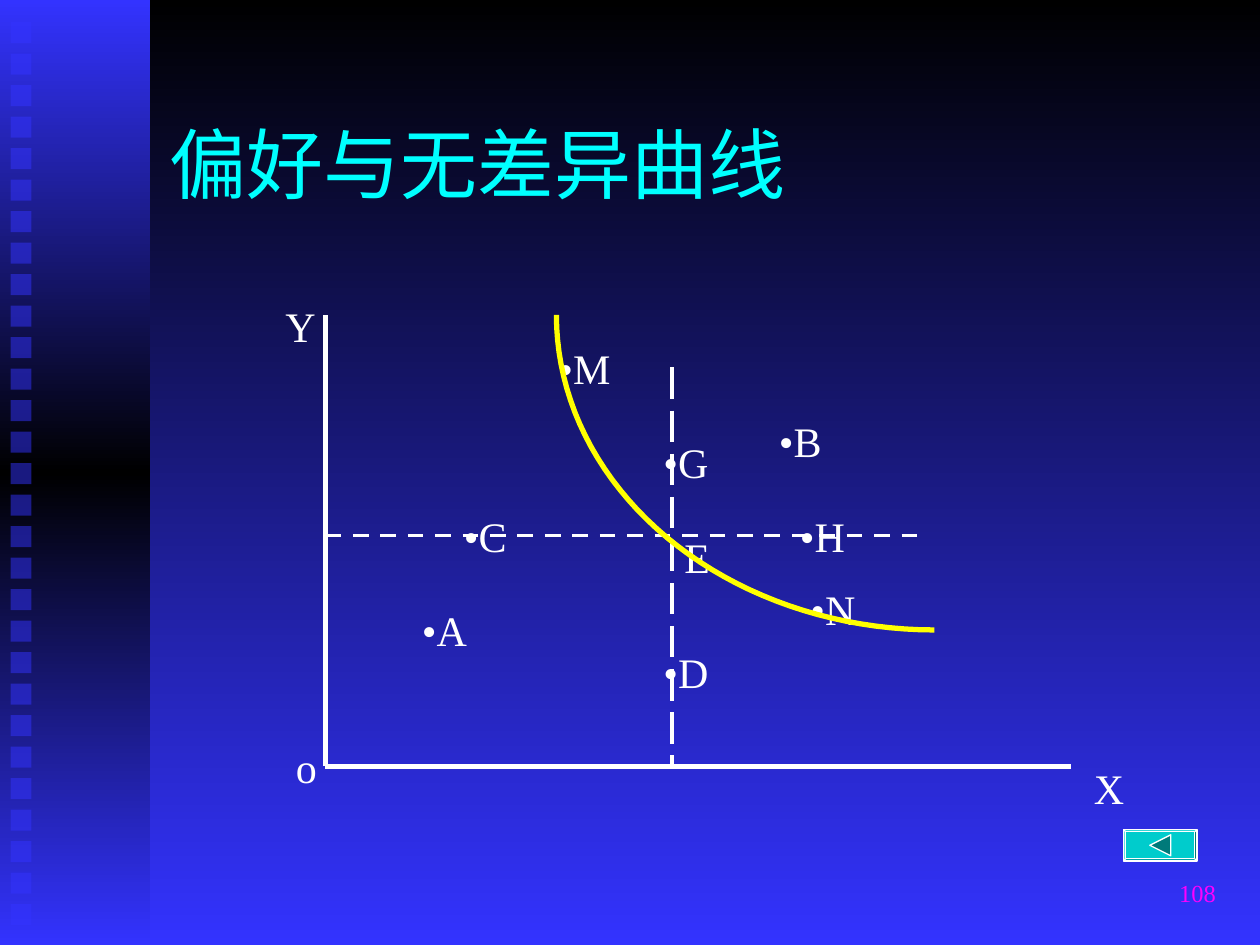
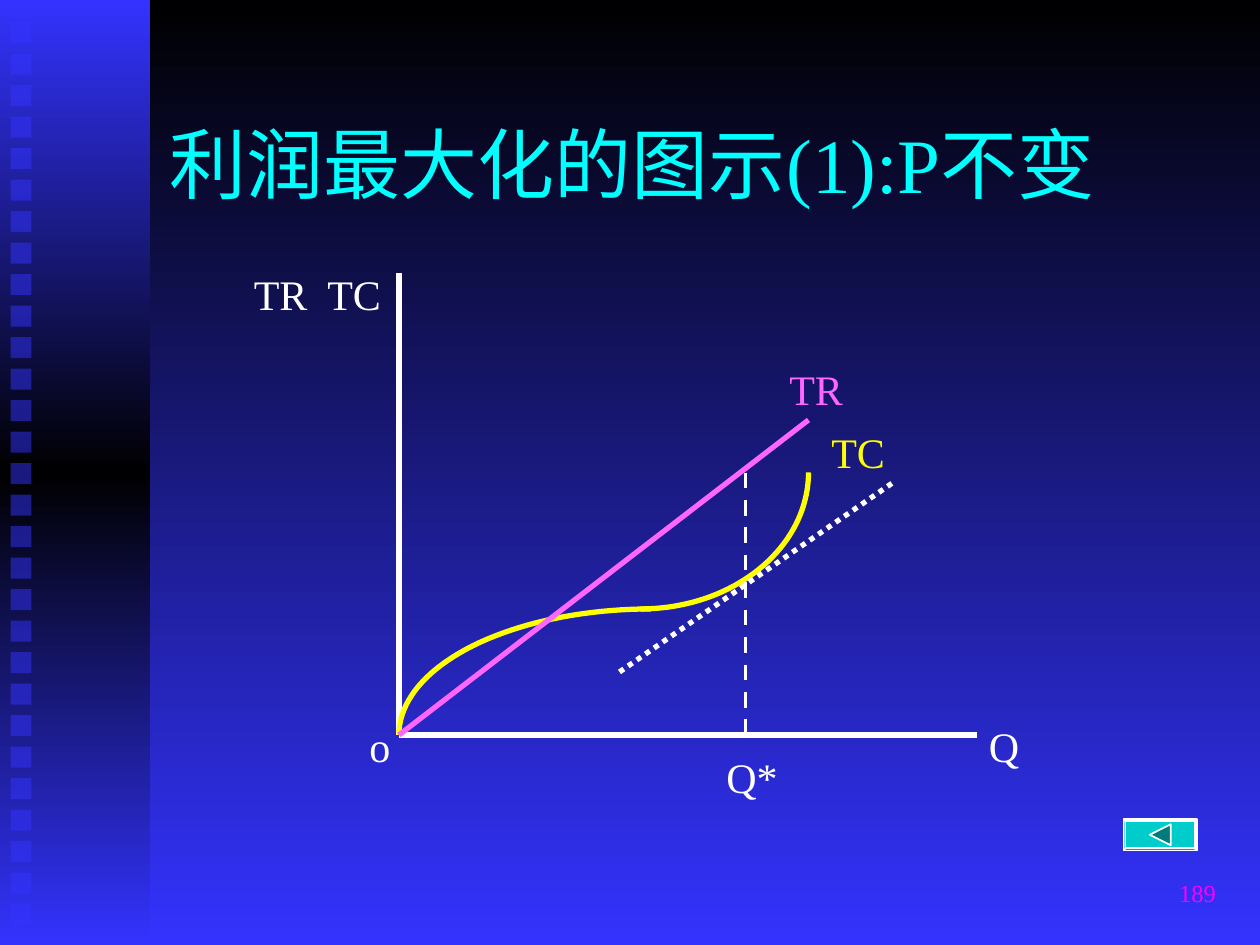
import copy
import math

from pptx import Presentation, util as u
from pptx.dml.color import RGBColor
from pptx.enum import dml, shapes, text
from pptx.oxml import parse_xml
from pptx.oxml.ns import nsdecls, qn

# Shared style: a grid of 120 columns by 90 rows covers the slide
COLUMNS, ROWS = 120, 90
FONT = "Times New Roman"
BLACK, BLUE, WHITE = "000000", "3333FF", "FFFFFF"
CYAN, TEAL, DARK_TEAL = "00FFFF", "00CCCC", "007A7A"
YELLOW, PINK, MAGENTA = "FFFF00", "FF66FF", "FF00FF"
DASH = dml.MSO_LINE.DASH
LONG_DASH = dml.MSO_LINE.LONG_DASH
DOTS = dml.MSO_LINE.ROUND_DOT


def rgb(hex_color):
    return RGBColor.from_string(hex_color)


def write(box, words, size=24, color=WHITE, align=text.PP_ALIGN.LEFT,
          anchor=text.MSO_ANCHOR.TOP, grow=True, tab=None):
    """Fill a text box with one formatted paragraph; tab is a stop in EMU."""
    frame = box.text_frame
    frame.word_wrap = True
    frame.vertical_anchor = anchor
    frame.auto_size = (text.MSO_AUTO_SIZE.SHAPE_TO_FIT_TEXT if grow
                       else text.MSO_AUTO_SIZE.NONE)
    paragraph = frame.paragraphs[0]
    paragraph.alignment = align
    if tab:
        paragraph._p.get_or_add_pPr().append(parse_xml(
            f'<a:tabLst {nsdecls("a")}><a:tab pos="{tab}" algn="l"/></a:tabLst>'))
    run = paragraph.add_run()
    run.text = words
    run.font.name = FONT
    run.font.size = u.Pt(size)
    run.font.color.rgb = rgb(color)


def shade(fill, owner, colors):
    """Vertical gradient with evenly spaced stops."""
    fill.gradient()
    fill.gradient_angle = 270
    stop_list = next(owner.iter(qn("a:gsLst")))
    while len(stop_list) < len(colors):
        stop_list.append(copy.deepcopy(stop_list[-1]))
    for i, (stop, color) in enumerate(zip(fill.gradient_stops, colors)):
        stop.color.rgb = rgb(color)
        stop.position = i / (len(colors) - 1)


class Deck:
    def __init__(self):
        self.prs = Presentation()
        self.prs.slide_width, self.prs.slide_height = u.Inches(10), u.Inches(7.5)
        self.slide = None

    def x(self, column):
        return round(self.prs.slide_width * column / COLUMNS)

    def y(self, row):
        return round(self.prs.slide_height * row / ROWS)

    def area(self, left, top, width, height):
        return self.x(left), self.y(top), self.x(width), self.y(height)

    def start_slide(self, title, number):
        self.slide = self.prs.slides.add_slide(self.prs.slide_layouts[6])
        shade(self.slide.background.fill, self.slide.element, [BLACK, BLUE])

        # Side band with its column of translucent squares
        band = self.shape(shapes.MSO_SHAPE.RECTANGLE, 0, 0, 14.3, ROWS)
        shade(band.fill, band.element, [BLUE, BLACK, BLUE])
        for i in range(29):
            square = self.shape(shapes.MSO_SHAPE.RECTANGLE, 1, 2.1 + 3 * i, 2, 2, BLUE)
            color = next(square.element.spPr.iter(qn("a:srgbClr")))
            color.append(parse_xml(f'<a:alpha {nsdecls("a")} val="50000"/>'))

        # Title and page number
        middle = text.MSO_ANCHOR.MIDDLE
        self.label(title, 15, 8, 102, 15, size=44, color=CYAN,
                   anchor=middle, grow=False)
        self.label(number, 92, 82, 25, 6, size=14, color=MAGENTA,
                   anchor=middle, align=text.PP_ALIGN.RIGHT, grow=False)

    def shape(self, kind, left, top, width, height, fill=None, line=None, weight=1):
        item = self.slide.shapes.add_shape(kind, *self.area(left, top, width, height))
        item.shadow.inherit = False
        if fill:
            item.fill.solid()
            item.fill.fore_color.rgb = rgb(fill)
        if line:
            self.stroke(item, line, weight)
        else:
            item.line.fill.background()
        return item

    def stroke(self, item, color, weight, dash=None):
        item.line.color.rgb = rgb(color)
        item.line.width = u.Pt(weight)
        if dash:
            item.line.dash_style = dash

    def label(self, words, left, top, width=5, height=6, **style):
        box = self.slide.shapes.add_textbox(*self.area(left, top, width, height))
        write(box, words, **style)

    def line(self, x1, y1, x2, y2, color=WHITE, weight=3, dash=None):
        item = self.slide.shapes.add_connector(
            shapes.MSO_CONNECTOR.STRAIGHT,
            self.x(x1), self.y(y1), self.x(x2), self.y(y2))
        self.stroke(item, color, weight, dash)
        item._element.spPr.append(parse_xml(f'<a:effectLst {nsdecls("a")}/>'))

    def axes(self, origin_x, origin_y, top, right):
        self.line(origin_x, top, origin_x, origin_y)
        self.line(origin_x, origin_y, right, origin_y)

    def quarter_arc(self, center_x, center_y, radius_x, radius_y, start, steps=40):
        """Quarter ellipse; start is in degrees, clockwise from the right."""
        points = []
        for i in range(steps + 1):
            angle = math.radians(start + 90 * i / steps)
            points.append((self.x(center_x + radius_x * math.cos(angle)),
                           self.y(center_y + radius_y * math.sin(angle))))
        builder = self.slide.shapes.build_freeform(*points[0])
        builder.add_line_segments(points[1:], close=False)
        curve = builder.convert_to_shape()
        curve.shadow.inherit = False
        curve.fill.background()
        self.stroke(curve, YELLOW, 3)

    def back_button(self, top, weight):
        frame = self.shape(shapes.MSO_SHAPE.BEVEL, 107, top, 7, 3, TEAL, WHITE, weight)
        frame.adjustments[0] = 0.07
        arrow = self.shape(shapes.MSO_SHAPE.ISOSCELES_TRIANGLE,
                           109.5, top + 0.5, 2, 2, DARK_TEAL, WHITE, weight)
        arrow.rotation = 270


def indifference_curve(deck):
    deck.start_slide("偏好与无差异曲线", "108")
    deck.axes(31, 73, top=30, right=102)
    deck.line(31, 51, 88, 51, weight=2.25, dash=DASH)
    deck.line(64, 35, 64, 73, weight=2.25, dash=LONG_DASH)

    # Axis names and the crossing point
    for name, left, top in [("o", 27, 70), ("E", 64, 50), ("X", 103, 72), ("Y", 26, 28)]:
        deck.label(name, left, top)

    # Bundles of goods
    bundles = {"B": (73, 39), "A": (39, 57), "C": (43, 48), "D": (62, 61),
               "H": (75, 48), "G": (62, 41), "M": (52, 32), "N": (76, 55)}
    for name, (left, top) in bundles.items():
        deck.label("•" + name, left, top, 14)

    deck.quarter_arc(89, 30, 36, 30, start=90)
    deck.back_button(79, 0.75)


def profit_maximum(deck):
    deck.start_slide("利润最大化的图示(1):P不变", "189")
    deck.axes(38, 70, top=26, right=93)

    # Total cost in two arcs, total revenue as a straight line
    deck.quarter_arc(61, 45, 16, 13, start=0)
    deck.quarter_arc(62, 70, 24, 12, start=180)
    deck.line(38, 70, 77, 40, color=PINK)

    # Names of axes and curves
    deck.label("o", 34, 68)
    deck.label("Q", 93, 68)
    deck.label("TR\tTC", 23, 25, 18, tab=deck.x(7))
    deck.label("TC", 78, 40, 11, color=YELLOW)
    deck.label("TR", 74, 34, 11, color=PINK)

    # Best output and the tangent there
    deck.line(71, 45, 71, 70, weight=2.25, dash=DASH)
    deck.label("Q*", 68, 71, 8)
    deck.back_button(78, 1)
    deck.line(59, 64, 85, 46, dash=DOTS)


def main():
    deck = Deck()
    indifference_curve(deck)
    profit_maximum(deck)
    deck.prs.save("out.pptx")


if __name__ == "__main__":
    main()
